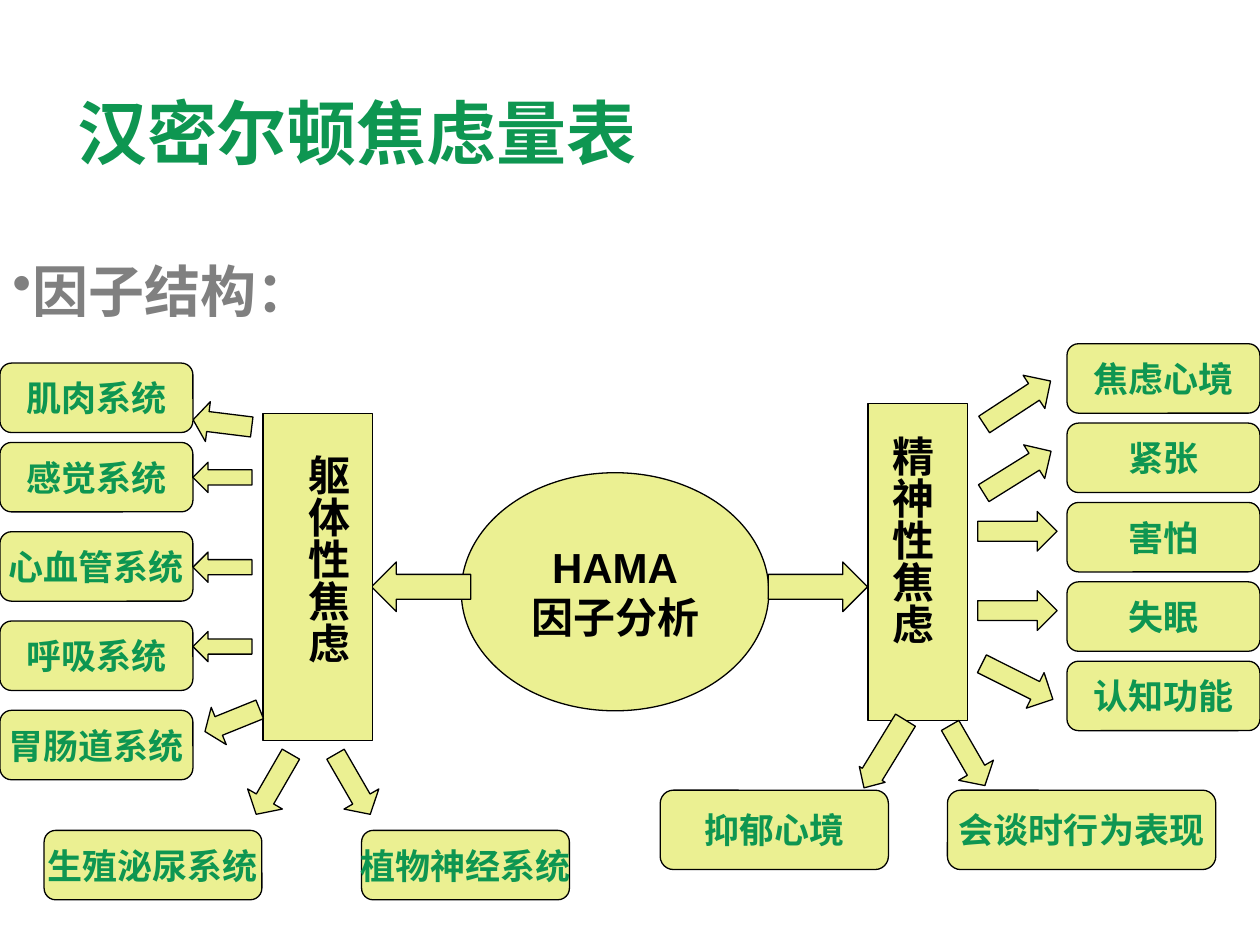
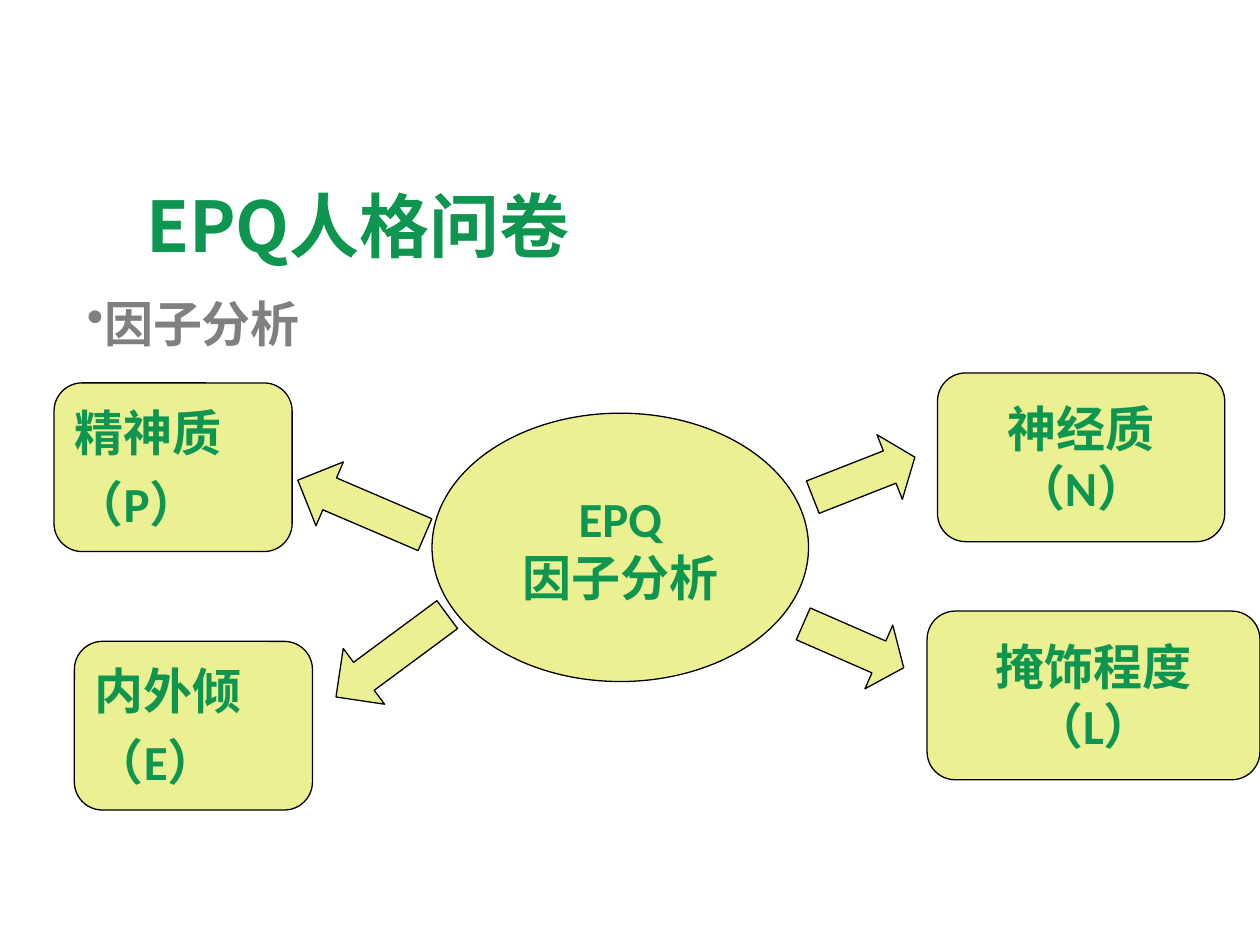
"""Build two factor-structure diagrams for anxiety and personality scales."""
from lxml import etree
from pptx import Presentation
from pptx import util as u
from pptx.dml.color import RGBColor
from pptx.enum import shapes, text
from pptx.oxml import ns

GREEN, GREY, LIME, BLACK = "0E9651", "808080", "EBF092", "000000"
CJK_FONT = "Noto Sans CJK SC"
KIND = shapes.MSO_SHAPE
LEFT, RIGHT, DOWN = KIND.LEFT_ARROW, KIND.RIGHT_ARROW, KIND.DOWN_ARROW
ALIGN = text.PP_ALIGN


def color(value):
    """Turn a hex string into a colour."""
    return RGBColor.from_string(value)


def place(shape, left, top, width, height):
    """Position a shape in centimetres."""
    shape.left, shape.top = u.Cm(left), u.Cm(top)
    shape.width, shape.height = u.Cm(width), u.Cm(height)


def add_bullet(paragraph, bullet_color):
    """Give a paragraph a tight round bullet."""
    properties = paragraph._p.get_or_add_pPr()
    properties.set("marL", str(u.Cm(0.05)))
    properties.set("indent", str(-u.Cm(0.05)))
    holder = etree.SubElement(properties, ns.qn("a:buClr"))
    etree.SubElement(holder, ns.qn("a:srgbClr"), val=bullet_color)
    etree.SubElement(properties, ns.qn("a:buChar"), char="•")


def write_text(shape, content, size=20, font="Arial", ink=GREEN, align=ALIGN.CENTER,
               anchor=text.MSO_ANCHOR.MIDDLE, wrap=False, gap=0, bullet=False):
    """Write bold lines of text in a shape."""
    frame = shape.text_frame
    frame.auto_size = text.MSO_AUTO_SIZE.NONE
    frame.word_wrap = wrap
    frame.vertical_anchor = anchor
    for index, line in enumerate(content.split("\n")):
        paragraph = frame.add_paragraph() if index else frame.paragraphs[0]
        paragraph.alignment = align
        paragraph.space_before = u.Pt(gap if index else 0)
        if bullet:
            add_bullet(paragraph, ink)
        run = paragraph.add_run()
        run.text = line
        run.font.size, run.font.bold, run.font.name = u.Pt(size), True, font
        run.font.color.rgb = color(ink)
        etree.SubElement(run._r.get_or_add_rPr(), ns.qn("a:ea"), typeface=font)


def add_figure(slide, kind, box, content="", **style):
    """Add a lime outlined shape, with text if there is any."""
    shape = slide.shapes.add_shape(kind, *map(u.Cm, box))
    shape.shadow.inherit = False
    shape.fill.solid()
    shape.fill.fore_color.rgb = color(LIME)
    shape.line.color.rgb = color(BLACK)
    shape.line.width = u.Pt(0.75)
    if content:
        write_text(shape, content, **style)
    return shape


def add_arrow(slide, kind, box, angle=0, head=0.5, shaft=0.5):
    """Add a block arrow turned by an angle."""
    arrow = add_figure(slide, kind, box)
    arrow.rotation = angle
    arrow.adjustments[0], arrow.adjustments[1] = shaft, head


def add_spine(slide, box, label_box, label):
    """Add an upright bar with a vertical label."""
    add_figure(slide, KIND.RECTANGLE, box)
    label_shape = slide.shapes.add_textbox(*map(u.Cm, label_box))
    frame = label_shape.text_frame
    frame.margin_left = frame.margin_right = u.Cm(0.13)
    frame.margin_top = frame.margin_bottom = u.Cm(0.25)
    write_text(label_shape, label, size=24, ink=BLACK, wrap=True,
               anchor=text.MSO_ANCHOR.TOP)
    frame._txBody.bodyPr.set("vert", "eaVert")


def add_titled_slide(presentation, title, title_box, heading, heading_box, heading_size):
    """Add a slide with its title and bulleted heading."""
    slide = presentation.slides.add_slide(presentation.slide_layouts[5])
    place(slide.shapes.title, *title_box)
    write_text(slide.shapes.title, title, size=40, font=CJK_FONT,
               align=ALIGN.LEFT, wrap=True)
    heading_shape = slide.shapes.add_textbox(*map(u.Cm, heading_box))
    write_text(heading_shape, heading, size=heading_size, font=CJK_FONT, ink=GREY,
               align=ALIGN.LEFT, anchor=text.MSO_ANCHOR.TOP, wrap=True, bullet=True)
    return slide


def build_anxiety_slide(presentation):
    """Build the anxiety scale diagram."""
    slide = add_titled_slide(presentation, "汉密尔顿焦虑量表", (1.3, 0.91, 22.86, 3.48),
                             "因子结构：", (0, 5.05, 25.4, 2), 32)
    add_figure(slide, KIND.OVAL, (9.3, 9.53, 6.2, 4.8), "HAMA\n因子分析",
               size=24, ink=BLACK)
    add_arrow(slide, LEFT, (7.49, 11.33, 2, 1))
    add_arrow(slide, RIGHT, (15.49, 11.33, 2, 1))
    add_spine(slide, (5.3, 8.33, 2.21, 6.6), (5.72, 8.92, 1.52, 5.99), "躯体性焦虑")
    add_spine(slide, (17.5, 8.13, 2, 6.4), (17.5, 8.53, 1.52, 6.4), "精神性焦虑")

    add_arrow(slide, LEFT, (3.89, 8.13, 1.19, 0.81), 7, 0.37)
    for top in (9.32, 11.13, 12.73):
        add_arrow(slide, LEFT, (3.89, top, 1.19, 0.61))
    add_arrow(slide, LEFT, (4.09, 14.12, 1.19, 0.81), -22, 0.37)
    for left, top, angle in ((5.11, 15.11, 30), (6.71, 15.11, -30), (19.1, 14.53, -30)):
        add_arrow(slide, DOWN, (left, top, 0.81, 1.4), angle, 0.44)
    add_arrow(slide, DOWN, (17.53, 14.4, 0.61, 1.6), 31.5, 0.52, 0.77)
    for top, angle in ((7.72, -33.2), (9.12, -31.9), (10.31, 0), (11.91, 0), (13.34, 26.6)):
        add_arrow(slide, RIGHT, (19.71, top, 1.6, 0.8), angle)

    add_figure(slide, KIND.ROUNDED_RECTANGLE, (0, 7.32, 3.89, 1.4), "肌肉系统")
    columns = (
        (0, 8.92, 1.8, ("感觉系统", "心血管系统", "呼吸系统", "胃肠道系统")),
        (21.51, 6.93, 1.6, ("焦虑心境", "紧张", "害怕", "失眠", "认知功能")),
    )
    for left, top, step, labels in columns:
        for row, label in enumerate(labels):
            add_figure(slide, KIND.ROUNDED_RECTANGLE,
                       (left, top + row * step, 3.89, 1.4), label)
    bottom_factors = (
        ("生殖泌尿系统", (0.89, 16.74, 4.39, 1.4)),
        ("植物神经系统", (7.29, 16.74, 4.19, 1.4)),
        ("抑郁心境", (13.31, 15.93, 4.6, 1.6)),
        ("会谈时行为表现", (19.1, 15.93, 5.41, 1.6)),
    )
    for label, box in bottom_factors:
        add_figure(slide, KIND.ROUNDED_RECTANGLE, box, label)


def build_personality_slide(presentation):
    """Build the personality questionnaire diagram."""
    slide = add_titled_slide(presentation, "EPQ人格问卷", (2.69, 3.53, 21.44, 2.01),
                             "因子分析", (1.5, 5.8, 23.01, 1.8), 28)
    style = {"size": 28, "font": "Calibri"}
    add_figure(slide, KIND.OVAL, (8.71, 8.33, 7.59, 5.41), "EPQ\n因子分析", **style)
    add_arrow(slide, LEFT, (5.89, 9.53, 2.79, 1.4), 23.2)
    add_arrow(slide, LEFT, (6.5, 12.52, 2.79, 1.4), -36.5)
    add_arrow(slide, RIGHT, (16.31, 8.92, 2.21, 1.4), -21.4, 0.39)
    add_arrow(slide, RIGHT, (16.1, 12.32, 2.21, 1.4), 23.6, 0.39)
    left_style = {"align": ALIGN.LEFT, "wrap": True, "gap": 7}
    factors = (
        ("精神质\n（P）", 1.09, 7.72, 4.8, left_style),
        ("内外倾\n（E）", 1.5, 12.93, 4.8, left_style),
        ("掩饰程度\n（L）", 18.69, 12.32, 6.71, {}),
        ("神经质\n（N）", 18.9, 7.52, 5.79, {}),
    )
    for label, left, top, width, extra in factors:
        add_figure(slide, KIND.ROUNDED_RECTANGLE, (left, top, width, 3.4), label,
                   **style, **extra)


def main():
    """Build and save the presentation."""
    presentation = Presentation()
    presentation.slide_width, presentation.slide_height = u.Cm(25.4), u.Cm(19.05)
    build_anxiety_slide(presentation)
    build_personality_slide(presentation)
    presentation.save("out.pptx")


if __name__ == "__main__":
    main()
